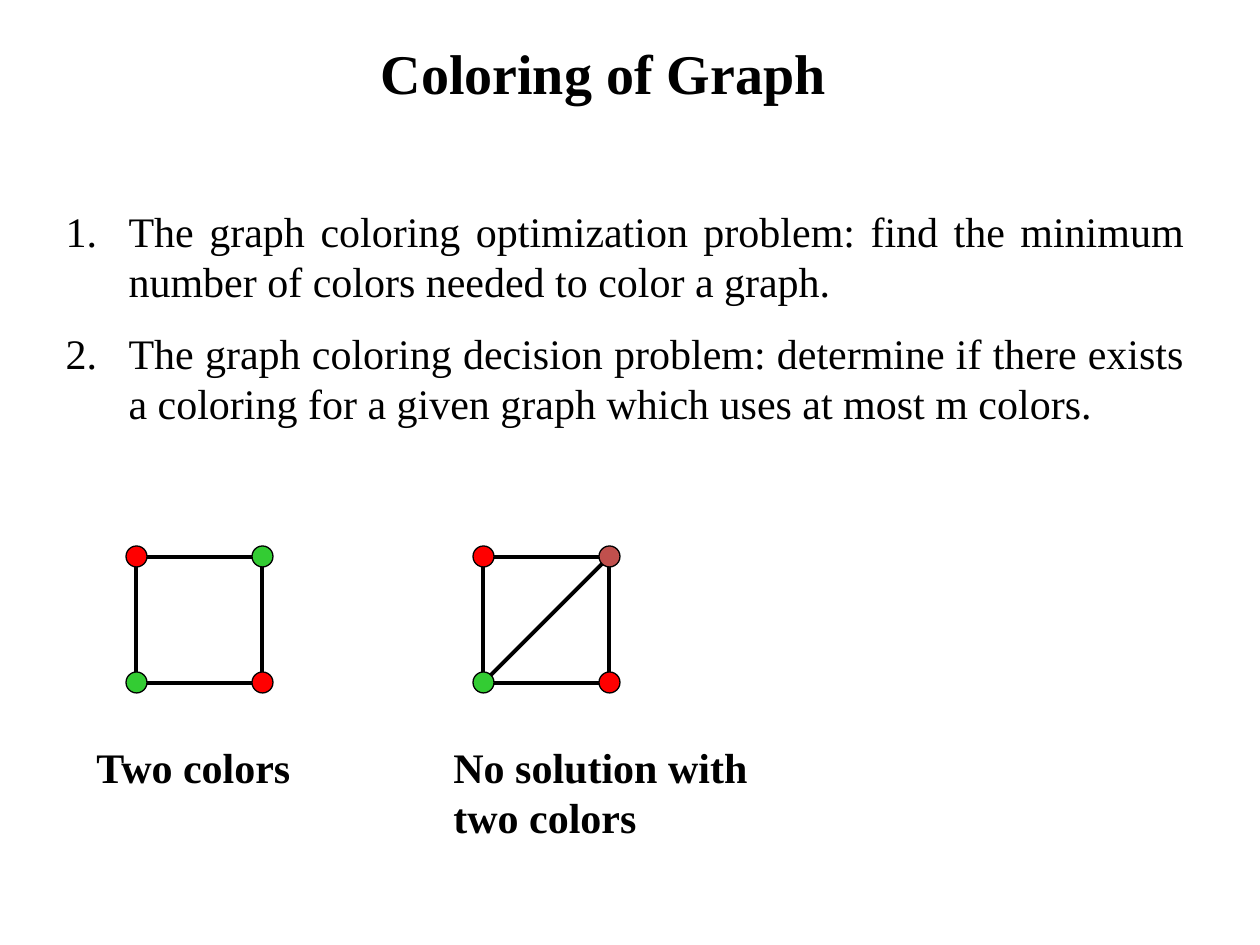
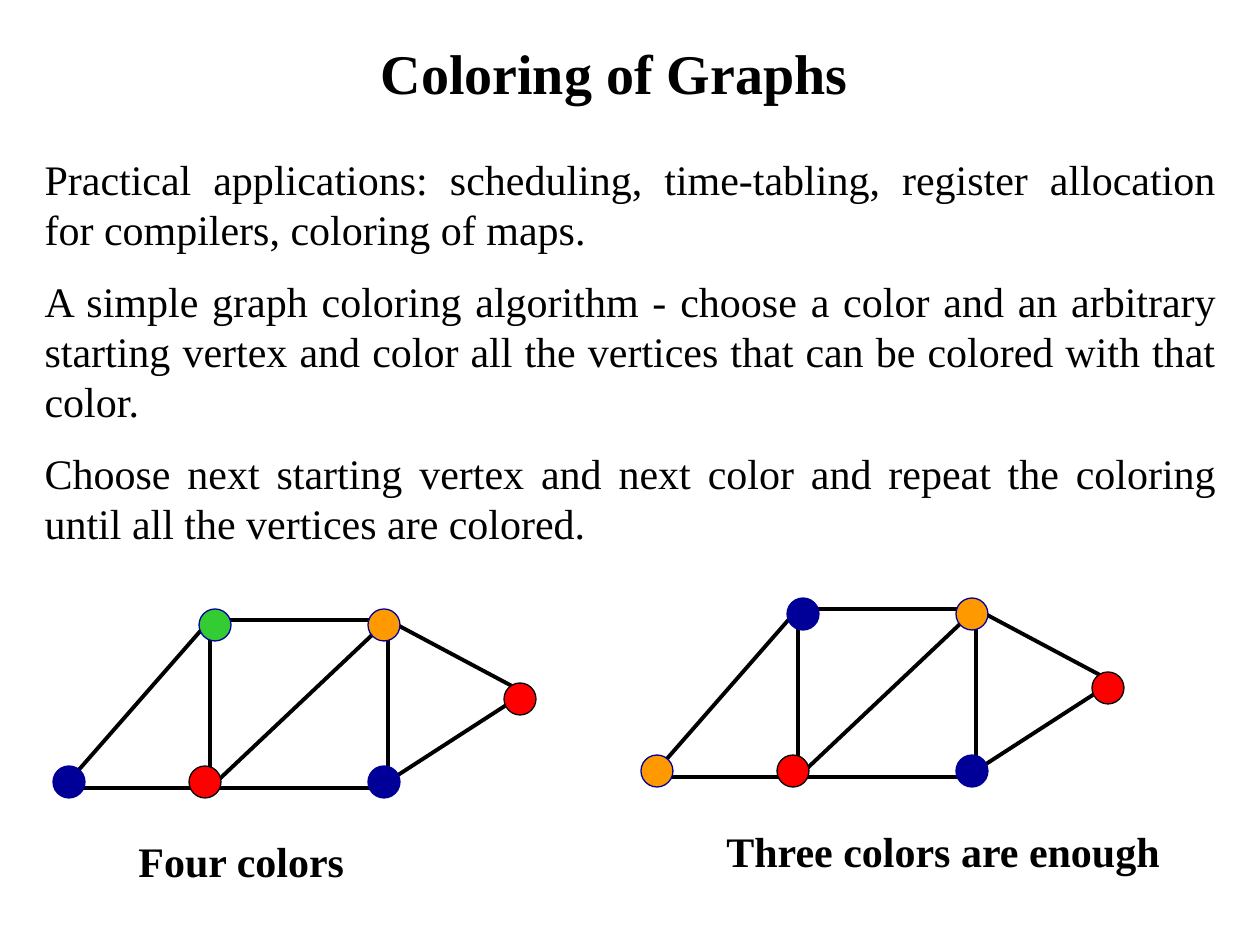
"""Build two slides on graph coloring, with small colored graphs as examples."""
from lxml.etree import SubElement
from pptx import Presentation
from pptx.dml.color import RGBColor
from pptx.enum.shapes import MSO_CONNECTOR as CONN, MSO_SHAPE as SHAPE
from pptx.enum.text import MSO_ANCHOR as ANCHOR, MSO_AUTO_SIZE as FIT, PP_ALIGN as ALIGN
from pptx.oxml.ns import qn
from pptx.util import Inches, Pt

PX = Inches(1) // 126
FONT = "Times New Roman"
COLORS = {
    "black": "000000",
    "red": "FF0000",
    "green": "33CC33",
    "brown": "C0504D",
    "blue": "000099",
    "orange": "FF9900",
}
TITLE_BOX = (368, 32, 658, 81)

SQUARE = {
    "frame": (10, 11, 126, 126),
    "edges": [],
    "nodes": [(0, 0), (126, 0), (0, 126), (126, 126)],
    "size": 21,
}
SPLIT_SQUARE = {**SQUARE, "edges": [((10, 137), (136, 11))]}
FISH = {
    "frame": (157, 11, 178, 168),
    "edges": [
        ((157, 179), (335, 11)),
        ((335, 11), (472, 84)),
        ((472, 84), (325, 179)),
        ((157, 179), (10, 179)),
        ((10, 179), (157, 11)),
    ],
    "nodes": [(136, 157), (451, 74), (315, 157), (0, 157), (146, 0), (315, 0)],
    "size": 32,
}

SLIDES = [
    {
        "title": "Coloring of Graph",
        "body": [
            "The graph coloring optimization problem: find the minimum number of "
            "colors needed to color a graph.",
            "The graph coloring decision problem: determine if there exists a "
            "coloring for a given graph which uses at most m colors.",
        ],
        "body_box": (53, 199, 1144, 242),
        "numbered": True,
        "graphs": [
            (SQUARE, (126, 546), [("red", "black"), ("green", "black"),
                                  ("green", "black"), ("red", "black")]),
            (SPLIT_SQUARE, (473, 546), [("red", "black"), ("brown", "black"),
                                        ("green", "black"), ("red", "black")]),
        ],
        "captions": [
            ("Two colors", (84, 735, 284, 63), True),
            ("No solution with two colors", (441, 735, 357, 113), True),
        ],
    },
    {
        "title": "Coloring of Graphs",
        "body": [
            "Practical applications: scheduling, time-tabling, register allocation "
            "for compilers, coloring of maps.",
            "A simple graph coloring algorithm - choose a color and an arbitrary "
            "starting vertex and color all the vertices that can be colored with "
            "that color.",
            "Choose next starting vertex and next color and repeat the coloring "
            "until all the vertices are colored.",
        ],
        "body_box": (32, 147, 1197, 420),
        "numbered": False,
        "graphs": [
            (FISH, (53, 609), [("red", "black"), ("red", "black"), ("blue", "blue"),
                               ("blue", "blue"), ("green", "blue"), ("orange", "blue")]),
            (FISH, (641, 598), [("red", "black"), ("red", "black"), ("blue", "blue"),
                                ("orange", "blue"), ("blue", "blue"), ("orange", "blue")]),
        ],
        "captions": [
            ("Four colors", (126, 829, 232, 63), False),
            ("Three colors are enough", (714, 819, 460, 63), False),
        ],
    },
]


def rgb(name):
    return RGBColor.from_string(COLORS[name])


def emu(values):
    return [v * PX for v in values]


def place(sp, box):
    sp.left, sp.top, sp.width, sp.height = emu(box)


def write(sp, texts, size, bold=False, align=ALIGN.LEFT, wrap=True):
    tf = sp.text_frame
    tf.text = "\n".join(texts)
    tf.word_wrap = wrap
    tf.auto_size = FIT.SHAPE_TO_FIT_TEXT
    tf.vertical_anchor = ANCHOR.TOP
    for p in tf.paragraphs:
        p.alignment = align
        p.space_before = Pt(size / 2)
        for r in p.runs:
            r.font.name = FONT
            r.font.size = Pt(size)
            r.font.bold = bold
            r.font.color.rgb = rgb("black")


def set_bullets(sp, numbered):
    indent = Inches(0.5) if numbered else 0
    for p in sp.text_frame.paragraphs:
        pPr = p._p.get_or_add_pPr()
        pPr.set("marL", str(indent))
        pPr.set("indent", str(-indent))
        if numbered:
            SubElement(pPr, qn("a:buFont")).set("typeface", "+mj-lt")
            SubElement(pPr, qn("a:buAutoNum")).set("type", "arabicPeriod")
        else:
            SubElement(pPr, qn("a:buNone"))


def add_outline(s, kind, box, line, width, fill=None):
    sp = s.shapes.add_shape(kind, *emu(box))
    sp.shadow.inherit = False
    if fill:
        sp.fill.solid()
        sp.fill.fore_color.rgb = rgb(fill)
    else:
        sp.fill.background()
    sp.line.color.rgb = rgb(line)
    sp.line.width = Pt(width)


def add_edge(s, start, end):
    cx = s.shapes.add_connector(CONN.STRAIGHT, *emu(start + end))
    cx.line.color.rgb = rgb("black")
    cx.line.width = Pt(2.25)
    SubElement(cx._element.spPr, qn("a:effectLst"))


def add_graph(s, graph, origin, node_colors):
    def shift(point):
        return (origin[0] + point[0], origin[1] + point[1])

    frame, size = graph["frame"], graph["size"]
    add_outline(s, SHAPE.RECTANGLE, shift(frame) + frame[2:], "black", 2.25)
    for start, end in graph["edges"]:
        add_edge(s, shift(start), shift(end))
    for node, (fill, line) in zip(graph["nodes"], node_colors):
        add_outline(s, SHAPE.OVAL, shift(node) + (size, size), line, 0.75, fill)


def add_slide(prs, content):
    s = prs.slides.add_slide(prs.slide_layouts[1])
    title, body = s.shapes.title, s.placeholders[1]
    place(title, TITLE_BOX)
    write(title, [content["title"]], 32, bold=True)
    place(body, content["body_box"])
    write(body, content["body"], 24, align=ALIGN.JUSTIFY)
    set_bullets(body, content["numbered"])
    for graph in content["graphs"]:
        add_graph(s, *graph)
    for text, box, wrap in content["captions"]:
        write(s.shapes.add_textbox(*emu(box)), [text], 24, bold=True, wrap=wrap)


prs = Presentation()
prs.slide_width, prs.slide_height = Inches(10), Inches(7.5)
for content in SLIDES:
    add_slide(prs, content)
prs.save("out.pptx")
